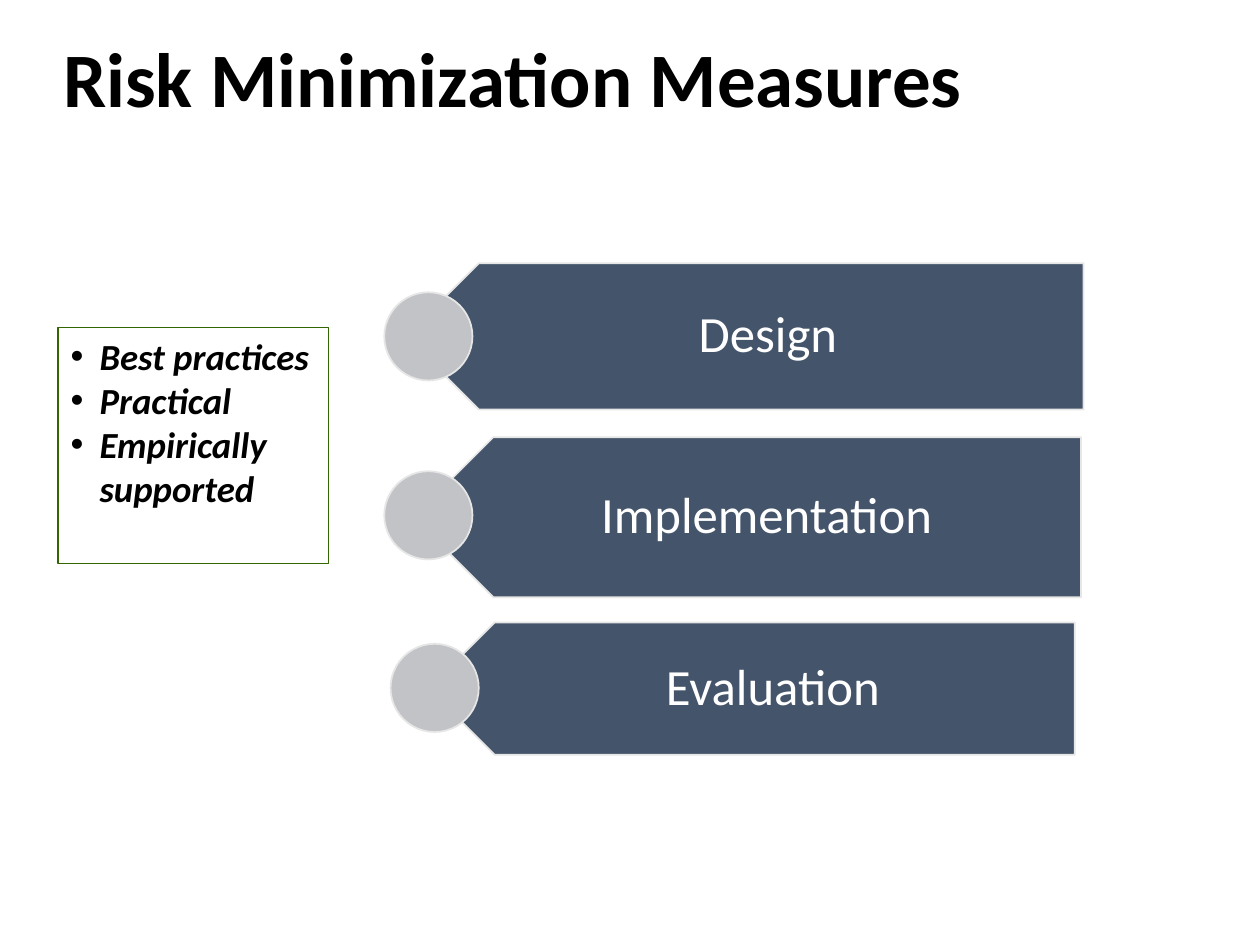
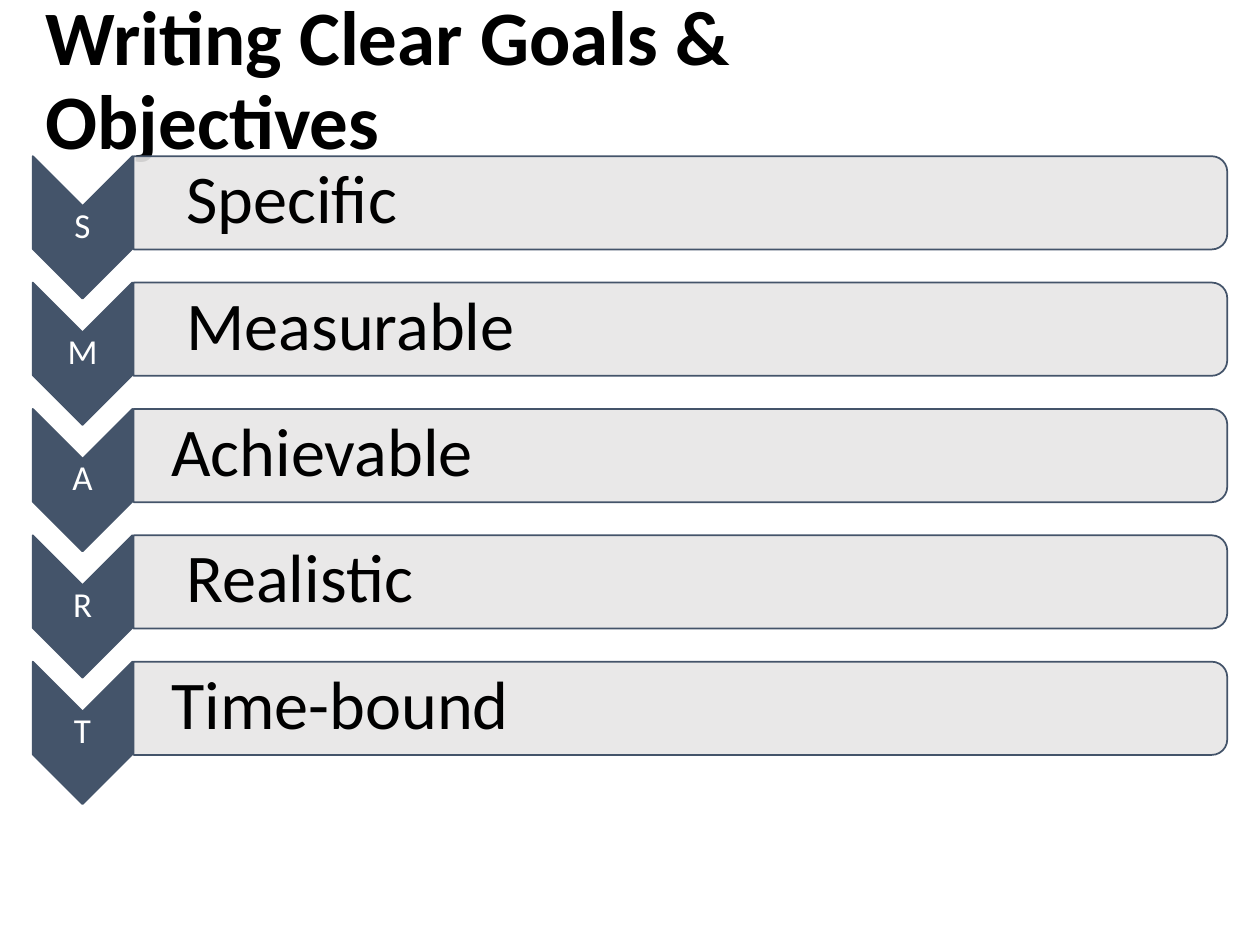
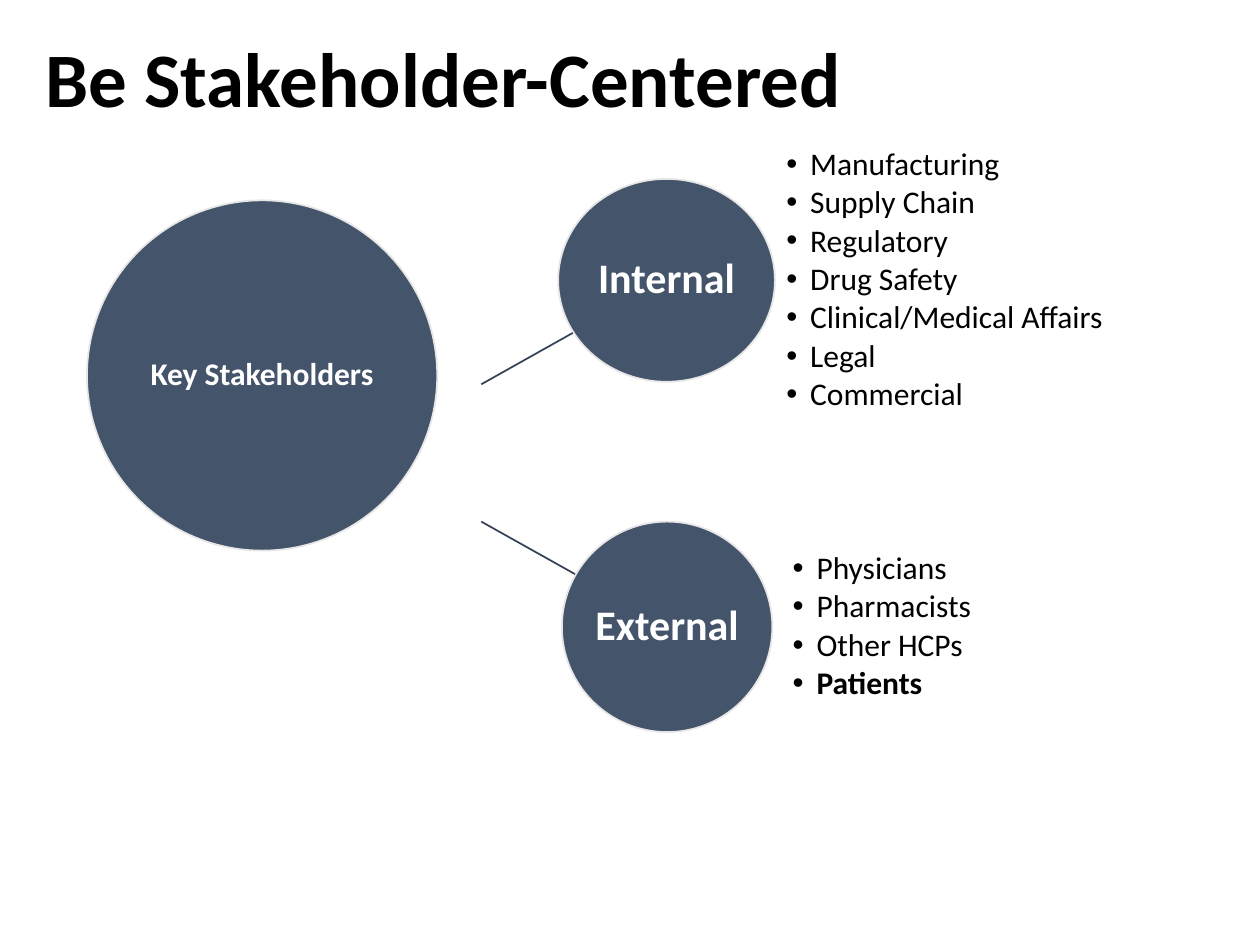
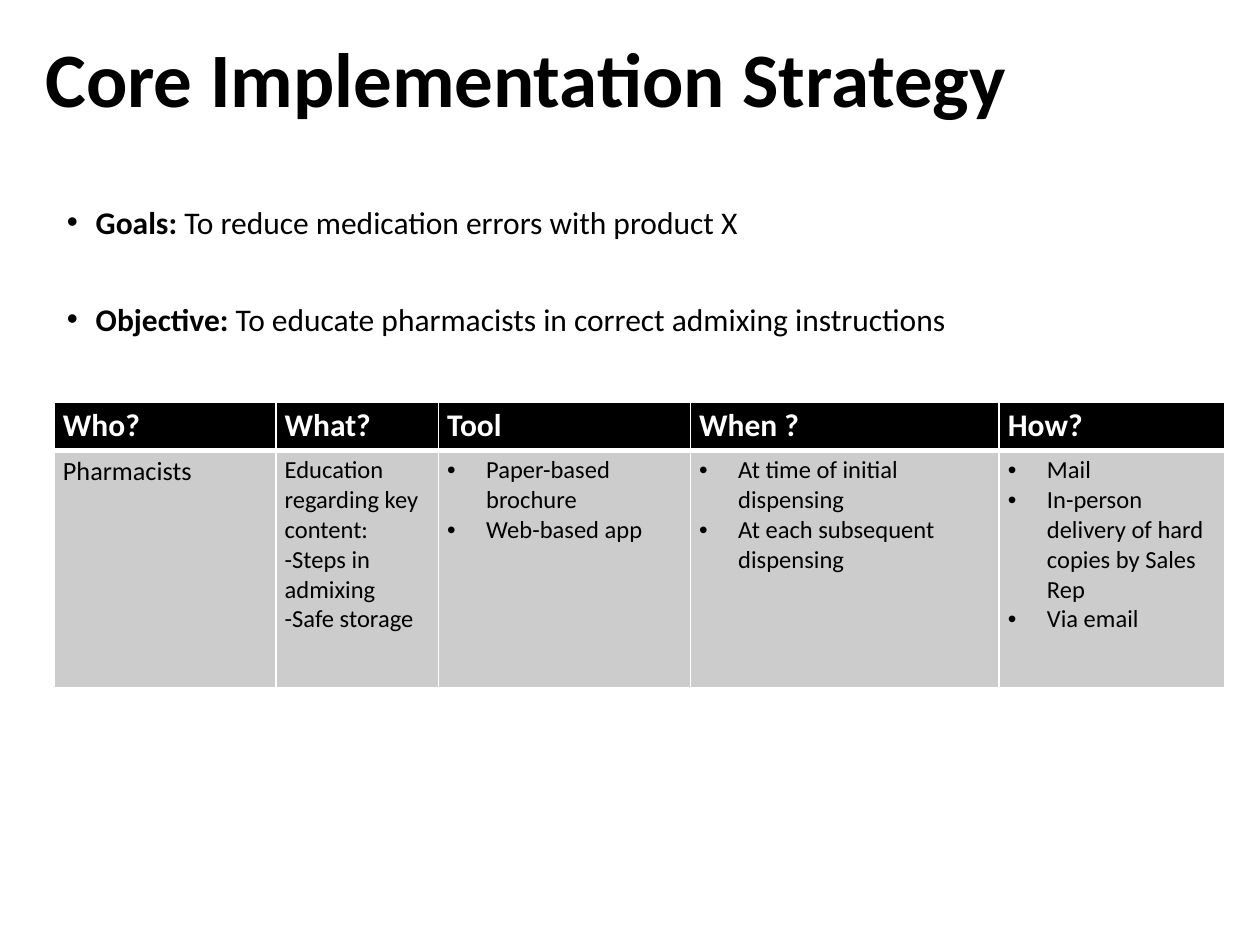
from dataclasses import dataclass
from typing import NamedTuple

from lxml.etree import SubElement
from pptx import Presentation
from pptx.dml.color import RGBColor
from pptx.enum.shapes import MSO_CONNECTOR, MSO_SHAPE as Shape
from pptx.enum.text import MSO_ANCHOR as Anchor, MSO_AUTO_SIZE as AutoSize, PP_ALIGN as Align
from pptx.oxml.ns import qn
from pptx.util import Inches, Pt

# Shared style
FONT = "Calibri"
COLORS = {
    "slate": "44546A",
    "slate_dark": "364355",
    "pale": "E7E6E6",
    "grey": "C1C3C7",
    "cell": "CCCCCC",
    "green": "336600",
    "black": "000000",
    "white": "FFFFFF",
}

# Grid: 100 columns by 75 rows of square cells
SLIDE_W, SLIDE_H = Inches(10), Inches(7.5)
CELL = SLIDE_W / 100
TITLE_ONLY, TITLE_CONTENT, TWO_CONTENT = 5, 1, 3


class Box(NamedTuple):
    """Left, top, width and height in grid cells."""
    left: float
    top: float
    width: float
    height: float


@dataclass
class Stage:
    label: str
    plate: Box
    label_box: Box
    dot: Box


@dataclass
class Group:
    name: str
    circle: Box
    list_box: Box
    members: list
    line_start: tuple
    line_end: tuple


@dataclass
class Goal:
    label: str
    text: str
    box: Box


class Column(NamedTuple):
    head: str
    width: float
    lines: list
    size: float = 14
    bullet: bool = True


def grid(n: float) -> int:
    return round(n * CELL)


def rgb(name: str) -> RGBColor:
    return RGBColor.from_string(COLORS[name])


# Text
def add_bullet(p, indent: float) -> None:
    ppr = p._p.get_or_add_pPr()
    ppr.set("marL", str(grid(indent)))
    ppr.set("indent", str(-grid(indent)))
    SubElement(ppr, qn("a:buFont"), typeface="Arial")
    SubElement(ppr, qn("a:buChar"), char="•")


def write(tf, paragraphs: list, size: float, color: str = "black", bold: bool = False,
          italic: bool = False, align=Align.LEFT, anchor=Anchor.TOP, spacing: float = 1.0,
          after: float = 0, bullet: float = 0, insets: tuple = (1, 0.5, 1, 0.5)) -> None:
    """Fill a frame; a paragraph is a string or a list of (text, bold) runs."""
    tf.word_wrap, tf.auto_size, tf.vertical_anchor = True, AutoSize.NONE, anchor
    tf.margin_left, tf.margin_top, tf.margin_right, tf.margin_bottom = map(grid, insets)
    for i, content in enumerate(paragraphs):
        p = tf.add_paragraph() if i else tf.paragraphs[0]
        p.alignment, p.line_spacing = align, spacing
        p.space_before, p.space_after = Pt(0), Pt(after)
        if bullet:
            add_bullet(p, bullet)
        for text, is_bold in [(content, bold)] if isinstance(content, str) else content:
            r = p.add_run()
            r.text = text
            f = r.font
            f.name, f.size, f.bold, f.italic = FONT, Pt(size), is_bold, italic
            f.color.rgb = rgb(color)


# Shapes
def place(sp, box: Box) -> None:
    sp.left, sp.top, sp.width, sp.height = map(grid, box)


def paint(sp, fill: str, line: str, width: float = 1) -> None:
    sp.fill.solid()
    sp.fill.fore_color.rgb = rgb(fill)
    sp.line.color.rgb = rgb(line)
    sp.line.width = Pt(width)


def add_shape(slide, kind, box: Box, fill: str, line: str, rotation: float = 0):
    sp = slide.shapes.add_shape(kind, *map(grid, box))
    sp.shadow.inherit = False
    sp.rotation = rotation
    paint(sp, fill, line)
    return sp


def add_text(slide, box: Box, text: str, **fmt) -> None:
    write(slide.shapes.add_textbox(*map(grid, box)).text_frame, [text], **fmt)


def add_line(slide, start: tuple, end: tuple, color: str) -> None:
    line = slide.shapes.add_connector(MSO_CONNECTOR.STRAIGHT, *map(grid, start + end))
    line.line.color.rgb = rgb(color)
    line.line.width = Pt(1)
    SubElement(line._element.spPr, qn("a:effectLst"))


def set_opacity(sp, percent: int) -> None:
    color = sp._element.spPr.find(qn("a:solidFill")).find(qn("a:srgbClr"))
    SubElement(color, qn("a:alpha"), val=str(percent * 1000))


def set_borders(cell, color: str, **widths: float) -> None:
    """Draw cell edges; widths are keyed L, R, T, B in that order."""
    tcpr = cell._tc.get_or_add_tcPr()
    for side, width in widths.items():
        ln = SubElement(tcpr, qn(f"a:ln{side}"), w=str(Pt(width)))
        SubElement(SubElement(ln, qn("a:solidFill")), qn("a:srgbClr"), val=COLORS[color])


# Slide frame: title and lists
def add_slide(prs, layout: int, title: str, width: float = 81.2, inset: float = 1):
    slide = prs.slides.add_slide(prs.slide_layouts[layout])
    place(slide.shapes.title, Box(2.6, 1.5, width, 10.1))
    write(slide.shapes.title.text_frame, [title], size=44, bold=True, anchor=Anchor.MIDDLE,
          spacing=0.9, insets=(inset, 0.5, 1, 0.5))
    return slide


def fill_list(slide, index: int, box: Box, items: list, **fmt):
    body = slide.placeholders[index]
    place(body, box)
    write(body.text_frame, items, **fmt)
    return body


# Slide 1: stages with pointers
STAGES = [
    Stage("Design", Box(32.2, 20.9, 53.8, 11.6), Box(35.1, 20.9, 50.9, 11.6),
          Box(30.5, 23.2, 7, 7)),
    Stage("Implementation", Box(32.8, 34.7, 53, 12.7), Box(35.5, 34.7, 49.9, 12.7),
          Box(30.5, 37.4, 7, 7)),
    Stage("Evaluation", Box(34, 49.4, 51.3, 10.5), Box(36.6, 49.4, 48.7, 10.5),
          Box(31, 51.1, 7, 7)),
]


def measures_slide(prs) -> None:
    slide = add_slide(prs, TITLE_CONTENT, "Risk Minimization Measures", width=93.7, inset=2.4)
    for stage in STAGES:
        add_shape(slide, Shape.PENTAGON, stage.plate, "slate", "pale", rotation=180)
        add_text(slide, stage.label_box, stage.label, size=29, color="white",
                 align=Align.CENTER, anchor=Anchor.MIDDLE, spacing=0.9,
                 insets=(3.1, 1.2, 2.3, 1.2))
        add_shape(slide, Shape.OVAL, stage.dot, "grey", "pale")
    body = fill_list(slide, 1, Box(4.6, 26, 21.5, 18.7),
                     ["Best practices", "Practical", "Empirically supported"],
                     size=21, bold=True, italic=True, bullet=2.3)
    paint(body, "white", "green", 0.75)


# Slide 2: one chevron and bar for each goal quality
QUALITIES = [("Specific", 4.2), ("Measurable", 4.2), ("Achievable", 3),
             ("Realistic", 4.2), ("Time-bound", 3)]
ROW_PITCH = 10.03


def goals_slide(prs) -> None:
    slide = add_slide(prs, TITLE_ONLY, "Writing Clear Goals & Objectives")
    for i, (quality, inset) in enumerate(QUALITIES):
        y = i * ROW_PITCH
        add_shape(slide, Shape.CHEVRON, Box(0.9, 14.1 + y, 11.3, 7.9), "slate", "slate", 90)
        add_text(slide, Box(2.6, 16.3 + y, 7.9, 3.4), quality[0], size=20, color="white",
                 align=Align.CENTER, anchor=Anchor.MIDDLE, spacing=0.9, insets=(0.1,) * 4)
        bar = add_shape(slide, Shape.ROUND_2_SAME_RECTANGLE, Box(50.3, y - 27.3, 7.4, 86.8),
                        "pale", "slate", 90)
        set_opacity(bar, 90)
        add_text(slide, Box(10.6, 12.7 + y, 86.4, 6.6), quality, size=39,
                 anchor=Anchor.MIDDLE, spacing=0.9, insets=(inset, 0.3, 0.3, 0.3))


# Slide 3: stakeholder groups around a hub
GROUPS = [
    Group("Internal", Box(44.3, 14.2, 17.2, 16.1), Box(62.4, 14.2, 25.9, 16.1),
          ["Manufacturing", "Supply Chain", "Regulatory", "Drug Safety",
           "Clinical/Medical Affairs", "Legal", "Commercial"],
          (38.2, 30.5), (45.5, 26.4)),
    Group("External", Box(44.6, 41.4, 16.7, 16.7), Box(62.9, 41.4, 25, 16.7),
          ["Physicians", "Pharmacists", "Other HCPs", [("Patients", True)]],
          (38.2, 41.4), (45.7, 45.6)),
]


def add_circle(slide, box: Box, text: str, size: float) -> None:
    circle = add_shape(slide, Shape.OVAL, box, "slate", "pale")
    write(circle.text_frame, [text], size=size, color="white", bold=True, spacing=0.9,
          align=Align.CENTER, anchor=Anchor.MIDDLE, insets=(0.2,) * 4)


def stakeholders_slide(prs) -> None:
    slide = add_slide(prs, TWO_CONTENT, "Be Stakeholder-Centered")
    add_circle(slide, Box(6.9, 15.9, 27.8, 27.8), "Key Stakeholders", 18)
    for index, group in enumerate(GROUPS, start=1):
        add_line(slide, group.line_start, group.line_end, "slate_dark")
        add_circle(slide, group.circle, group.name, 24)
        fill_list(slide, index, group.list_box, group.members, size=18, spacing=0.9,
                  after=2.5, bullet=1.9, anchor=Anchor.MIDDLE, insets=(0,) * 4)


# Slide 4: goal, objective and plan table
GOALS = [
    Goal("Goals: ", "To reduce medication errors with product X", Box(4.3, 14.1, 70.3, 5.1)),
    Goal("Objective: ", "To educate pharmacists in correct admixing instructions",
         Box(4.3, 21.8, 73.9, 5.1)),
]
PLAN = [
    Column("Who?", 17.6, ["Pharmacists"], size=15, bullet=False),
    Column("What?", 12.9, ["Education regarding key content:", "-Steps in admixing",
                           "-Safe storage"], bullet=False),
    Column("Tool", 20, ["Paper-based brochure", "Web-based app"]),
    Column("When ?", 24.5, ["At time of initial dispensing",
                            "At each subsequent dispensing"]),
    Column("How?", 17.9, ["Mail", "In-person delivery of hard copies by Sales Rep",
                          "Via email"]),
]
PLAN_ROWS = (3.8, 18.8)


def fill_cell(cell, lines: list, fill: str, top: float, bottom: float, **fmt) -> None:
    insets = (0.7, 0.4, 0.7, 0.4)
    write_cell = cell.text_frame
    write(write_cell, lines, insets=insets, **fmt)
    cell.margin_left, cell.margin_top, cell.margin_right, cell.margin_bottom = map(grid, insets)
    set_borders(cell, "white", L=1, R=1, T=top, B=bottom)
    cell.fill.solid()
    cell.fill.fore_color.rgb = rgb(fill)


def strategy_slide(prs) -> None:
    slide = add_slide(prs, TWO_CONTENT, "Core Implementation Strategy")
    for index, goal in enumerate(GOALS, start=1):
        fill_list(slide, index, goal.box, [[(goal.label, True), (goal.text, False)]],
                  size=18, spacing=1.5, bullet=2.3)
    box = Box(4.3, 31.9, sum(c.width for c in PLAN), sum(PLAN_ROWS))
    table = slide.shapes.add_table(len(PLAN_ROWS), len(PLAN), *map(grid, box)).table
    for row, height in zip(table.rows, PLAN_ROWS):
        row.height = grid(height)
    for i, column in enumerate(PLAN):
        table.columns[i].width = grid(column.width)
        fill_cell(table.cell(0, i), [column.head], "black", 1, 3,
                  size=18, color="white", bold=True)
        fill_cell(table.cell(1, i), column.lines, "cell", 3, 1,
                  size=column.size, bullet=3.1 if column.bullet else 0)


def main() -> None:
    prs = Presentation()
    prs.slide_width, prs.slide_height = SLIDE_W, SLIDE_H
    for build in (measures_slide, goals_slide, stakeholders_slide, strategy_slide):
        build(prs)
    prs.save("out.pptx")


if __name__ == "__main__":
    main()
